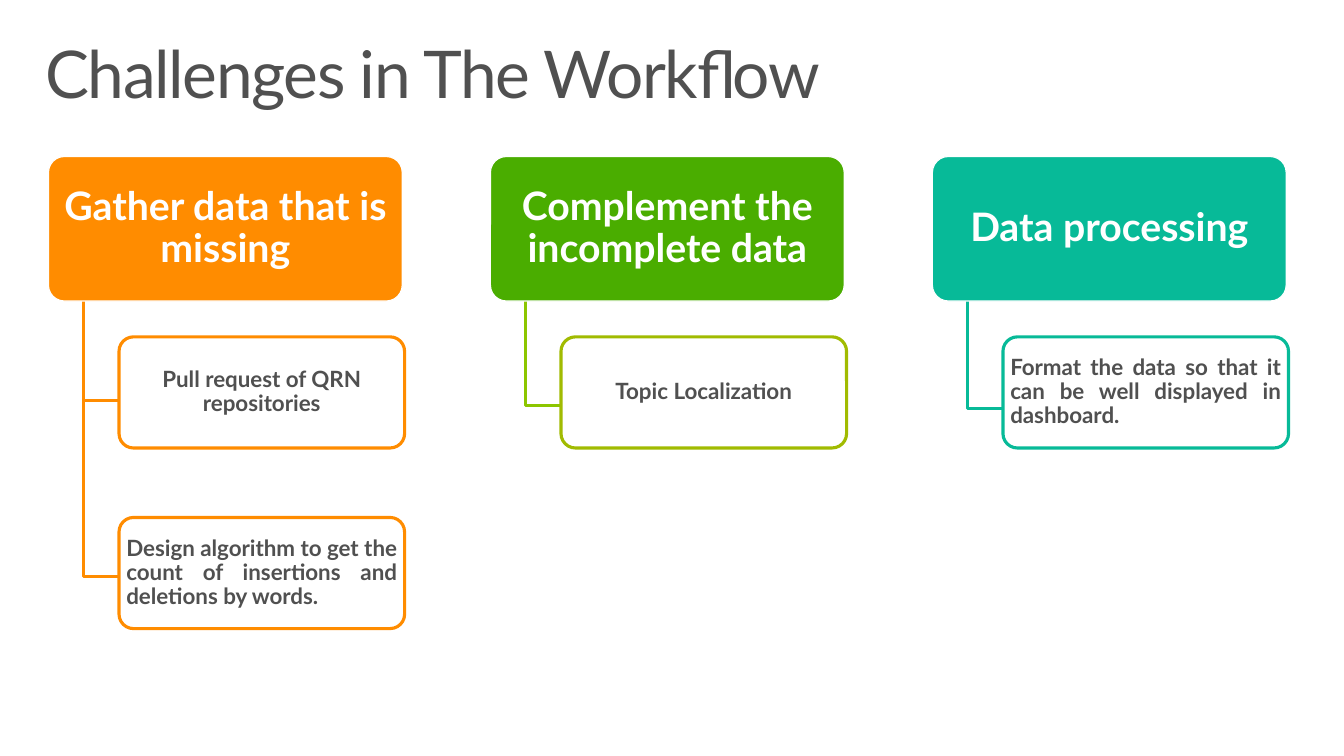
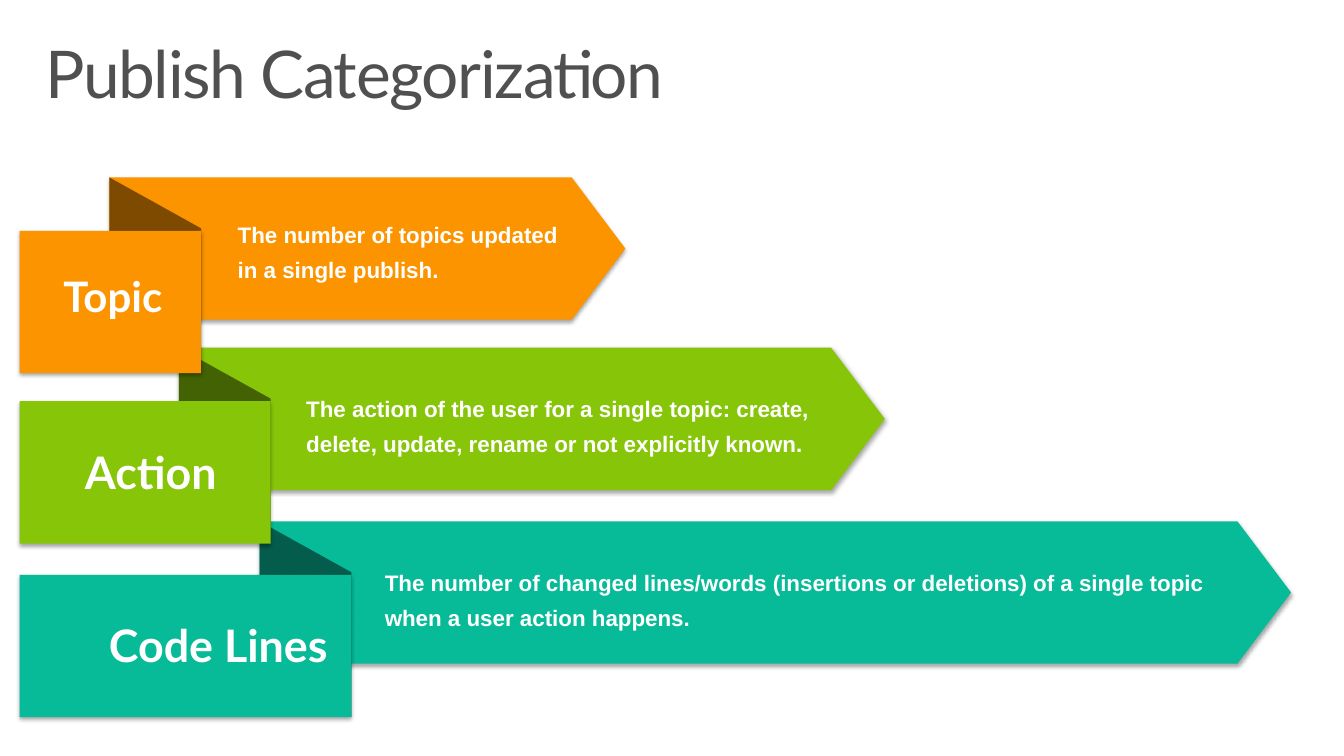
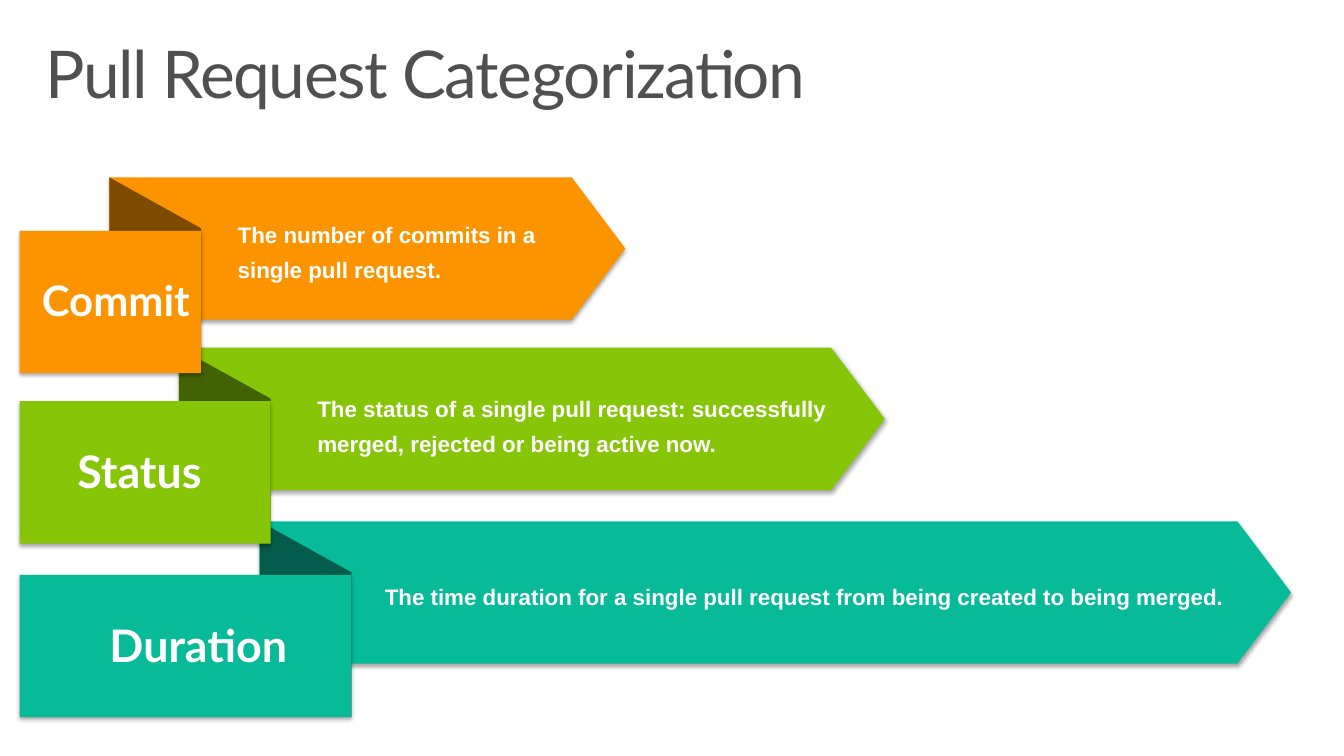
from pptx import Presentation
from pptx.dml.color import RGBColor
from pptx.enum.shapes import MSO_SHAPE as Shape
from pptx.enum.text import MSO_AUTO_SIZE as AutoSize, PP_ALIGN as Align
from pptx.oxml import parse_xml
from pptx.oxml.ns import nsdecls, qn
from pptx.util import Pt

WHITE, GRAY = "FFFFFF", "505050"
ORANGE, GREEN, TEAL = "FC9400", "87C509", "07BA98"
SHADOW = (
    f'<a:outerShdw {nsdecls("a")} blurRad="{Pt(3.1)}" dist="{Pt(1.8)}" dir="5400000" '
    'algn="t" rotWithShape="0"><a:srgbClr val="000000"><a:alpha val="35000"/>'
    '</a:srgbClr></a:outerShdw>'
)


def paint(fill, color):
    fill.solid()
    fill.fore_color.rgb = RGBColor.from_string(color)


def write(shape, text, size, color, font="Lato", bold=True, align=Align.LEFT,
          spacing=1.0, inset=(7.2, 3.6), wrap=True):
    frame = shape.text_frame
    frame.word_wrap = wrap
    frame.margin_left = frame.margin_right = Pt(inset[0])
    frame.margin_top = frame.margin_bottom = Pt(inset[1])
    paragraph = frame.paragraphs[0]
    paragraph.text = text
    paragraph.alignment = align
    paragraph.line_spacing = spacing
    paragraph.font.name = font
    paragraph.font.size = Pt(size)
    paragraph.font.bold = bold
    paint(paragraph.font.fill, color)
    return paragraph


presentation = Presentation()
presentation.slide_width, presentation.slide_height = Pt(960), Pt(540)

slides = []
for title in ("Challenges in The Workflow", "Publish Categorization",
              "Pull Request Categorization"):
    slide = presentation.slides.add_slide(presentation.slide_layouts[6])
    box = slide.shapes.add_textbox(Pt(20.9), Pt(22.5), Pt(917.3), Pt(70.6))
    paragraph = write(box, title, 47, GRAY, bold=False, spacing=0.9, inset=(11.5, 7.2))
    paragraph.runs[0].font._element.set("spc", "-100")
    slides.append(slide)

challenges = [
    ("Gather data that is missing", "FF8C00", "FF8C00", "FF8C00", 195, [
        ("Pull request of QRN repositories", Align.CENTER, 286.2),
        ("Design algorithm to get the count of insertions and deletions by words.",
         Align.JUSTIFY, 411.8)]),
    ("Complement the incomplete data", "4AAD00", "8CC600", "A1BB01", 212.4, [
        ("Topic Localization", Align.CENTER, 289.8)]),
    ("Data processing", TEAL, TEAL, TEAL, 215, [
        ("Format the data so that it can be well displayed in dashboard.",
         Align.JUSTIFY, 292)]),
]
shapes = slides[0].shapes
for column, (heading, color, spine_color, border, spine_top, tasks) in enumerate(challenges):
    left = 34.6 + 315.7 * column
    for task, align, elbow in tasks:
        builder = shapes.build_freeform(Pt(left + 24.9), Pt(spine_top))
        builder.add_line_segments(
            [(Pt(left + 24.9), Pt(elbow)), (Pt(left + 49.7), Pt(elbow))], close=False)
        spine = builder.convert_to_shape()
        spine.shadow.inherit = False
        spine.fill.background()
        paint(spine.line.fill, spine_color)
        spine.line.width = Pt(2.25)

    header = shapes.add_shape(Shape.ROUNDED_RECTANGLE, Pt(left), Pt(111.8), Pt(252.7), Pt(103.2))
    header.adjustments[0] = 0.11
    header.shadow.inherit = False
    paint(header.fill, color)
    paint(header.line.fill, WHITE)
    header.line.width = Pt(0.85)
    write(header, heading, 28, WHITE, align=Align.CENTER, spacing=0.9, inset=(5, 3.2))

    for row, (task, align, elbow) in enumerate(tasks):
        card = shapes.add_shape(Shape.ROUNDED_RECTANGLE, Pt(left + 50.4), Pt(240.6 + 129 * row),
                                Pt(204), Pt(79.4))
        card.adjustments[0] = 0.13
        card.shadow.inherit = False
        paint(card.fill, WHITE)
        paint(card.line.fill, border)
        card.line.width = Pt(2.25)
        write(card, task, 16, GRAY, align=align, spacing=0.9, inset=(2.2, 1.7))

LABEL_LEFT, BAND_HEIGHT, LABEL_DROP, FOLD_WIDTH = 14, 101.7, 38.2, 65.5
FOLD_HEIGHT = BAND_HEIGHT + LABEL_DROP
bands = [
    (372.4, 237, 922.2, TEAL, "045D4C"),
    (248.4, 179.3, 632, GREEN, "436204"),
    (126.7, 129.6, 446.7, ORANGE, "7E4A00"),
]
categories = [
    [("Code Lines", 32, (53.3, 437.8, 188, 46),
      "The number of changed lines/words (insertions or deletions) of a single topic "
      "when a user action happens.", (267.8, 397.4, 630.7, 57.6)),
     ("Action", 32, (45.4, 314, 116.6, 46),
      "The action of the user for a single topic: create, delete, update, rename or "
      "not explicitly known.", (211.7, 273.2, 412.6, 54.7)),
     ("Topic", 30, (29.5, 189.4, 93.6, 44),
      "The number of topics updated in a single publish.", (162.7, 148.7, 250.6, 54.7))],
    [("Duration", 32, (66.2, 437.8, 146.2, 46),
      "The time duration for a single pull request from being created to being merged.",
      (267.8, 407.5, 630.7, 30.2)),
     ("Status", 32, (45.4, 313.2, 105.8, 46),
      "The status of a single pull request: successfully merged, rejected or being "
      "active now.", (219.6, 273.2, 387.4, 55.4)),
     ("Commit", 30, (11.8, 192.6, 131, 44),
      "The number of commits in a single pull request.", (162.7, 148.7, 242.6, 54.7))],
]
for slide, items in zip(slides[1:], categories):
    shapes = slide.shapes
    for (top, label_width, right, color, dark), item in zip(bands, items):
        fold_left = LABEL_LEFT + label_width - FOLD_WIDTH
        turn = (FOLD_HEIGHT - FOLD_WIDTH) / 2
        arrow = shapes.add_shape(Shape.PENTAGON, Pt(fold_left), Pt(top),
                                 Pt(right - fold_left), Pt(BAND_HEIGHT))
        arrow.adjustments[0] = 0.377
        fold = shapes.add_shape(Shape.PARALLELOGRAM, Pt(fold_left - turn), Pt(top + turn),
                                Pt(FOLD_HEIGHT), Pt(FOLD_WIDTH))
        fold.rotation = 270
        fold.adjustments[0] = 0.555
        label = shapes.add_shape(Shape.RECTANGLE, Pt(LABEL_LEFT), Pt(top + LABEL_DROP),
                                 Pt(label_width), Pt(BAND_HEIGHT))
        for part, part_color in ((arrow, color), (fold, dark), (label, color)):
            paint(part.fill, part_color)
            part.line.fill.background()
            part.shadow.inherit = False
        for part in (arrow, label):
            part._element.spPr.find(qn("a:effectLst")).append(parse_xml(SHADOW))

        name, size, name_place, description, description_place = item
        name_box = shapes.add_textbox(*map(Pt, name_place))
        write(name_box, name, size, WHITE, align=Align.RIGHT, wrap=False)
        description_box = shapes.add_textbox(*map(Pt, description_place))
        write(description_box, description, 16, WHITE, font="Arial", spacing=1.3)
        for box in (name_box, description_box):
            box.text_frame.auto_size = AutoSize.SHAPE_TO_FIT_TEXT

presentation.save("out.pptx")
